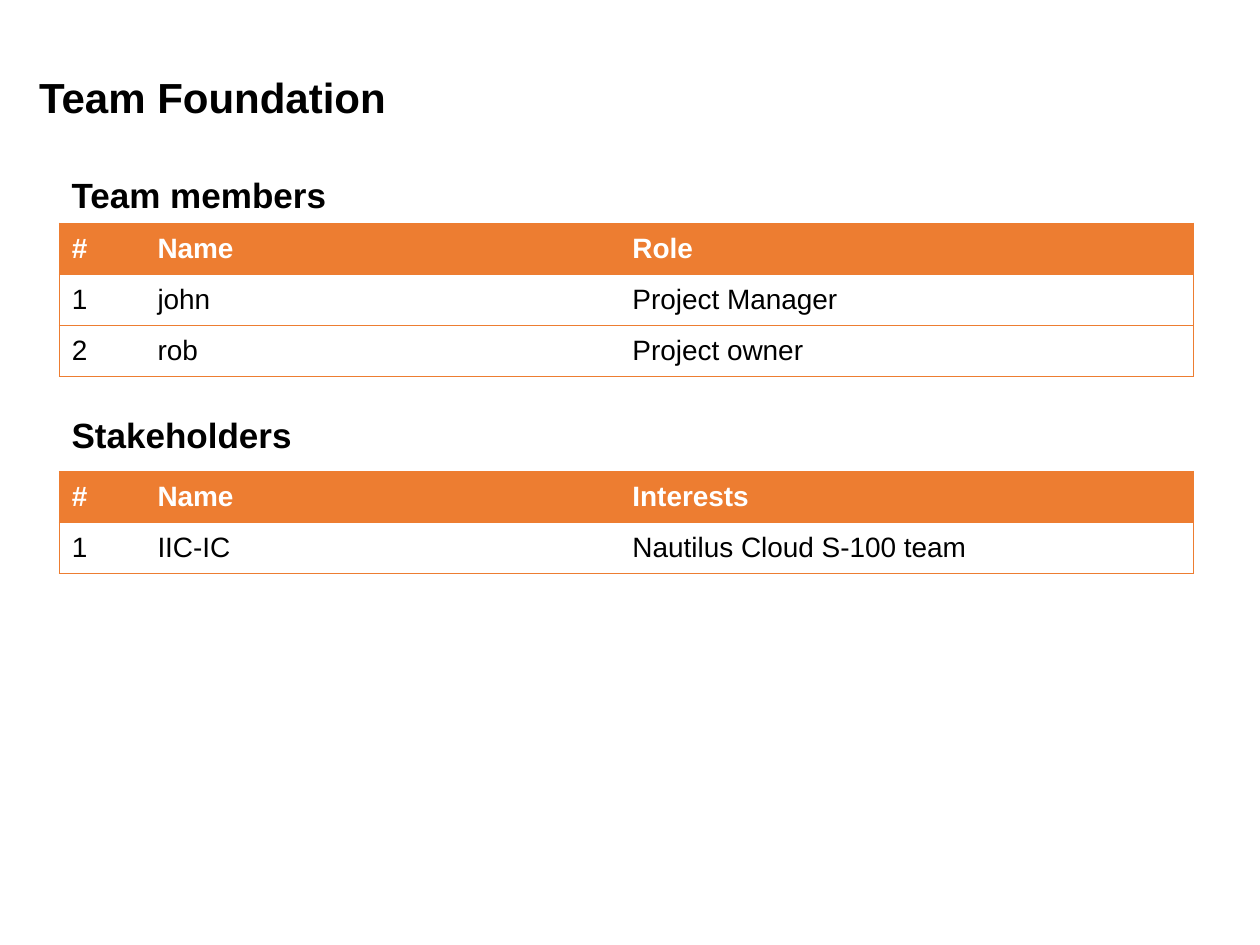
import pptx
import pptx.dml.color
import pptx.enum.text
import pptx.util
from lxml import etree
from pptx.oxml.ns import qn

Inches = pptx.util.Inches
Pt = pptx.util.Pt
ANCHOR = pptx.enum.text.MSO_ANCHOR

COLORS = {"accent": "ED7D31", "text": "000000", "light": "FFFFFF"}
FONT = "Arial"
NO_STYLE = "{2D5ABB26-0587-4C30-8999-92F81FD0307C}"
LEFT = 0.47
COL_WIDTHS = (0.68, 3.77, 4.55)
ROW_HEIGHT = 0.405
MEMBERS = [
    ("#", "Name", "Role"),
    ("1", "john", "Project Manager"),
    ("2", "rob", "Project owner"),
]
STAKEHOLDERS = [
    ("#", "Name", "Interests"),
    ("1", "IIC-IC", "Nautilus Cloud S-100 team"),
]


def rgb(name):
    """Return the named palette colour."""
    return pptx.dml.color.RGBColor.from_string(COLORS[name])


def format_text(tf, size, bold=True, color="text"):
    """Apply the slide font to every run of a text frame."""
    for p in tf.paragraphs:
        for r in p.runs:
            r.font.name = FONT
            r.font.size = Pt(size)
            r.font.bold = bold
            r.font.color.rgb = rgb(color)


def add_borders(cell, sides):
    """Draw thin accent lines on the given sides of a cell."""
    tc_pr = cell._tc.get_or_add_tcPr()
    for i, side in enumerate(sides):
        ln = etree.Element(qn(f"a:ln{side}"), w=str(Pt(0.5)))
        fill = etree.SubElement(ln, qn("a:solidFill"))
        etree.SubElement(fill, qn("a:srgbClr"), val=COLORS["accent"])
        tc_pr.insert(i, ln)


def add_title(slide, text, left, top, width, height):
    """Place the slide title in its placeholder."""
    sp = slide.shapes.title
    sp.left, sp.top = Inches(left), Inches(top)
    sp.width, sp.height = Inches(width), Inches(height)
    tf = sp.text_frame
    tf.text = text
    tf.word_wrap = True
    tf.auto_size = pptx.enum.text.MSO_AUTO_SIZE.NONE
    tf.vertical_anchor = ANCHOR.BOTTOM
    tf.paragraphs[0].alignment = pptx.enum.text.PP_ALIGN.JUSTIFY
    format_text(tf, 24)


def add_heading(slide, text, left, top, width, height):
    """Add a section heading."""
    sp = slide.shapes.add_textbox(
        Inches(left), Inches(top), Inches(width), Inches(height))
    tf = sp.text_frame
    tf.text = text
    tf.word_wrap = False
    tf.auto_size = pptx.enum.text.MSO_AUTO_SIZE.SHAPE_TO_FIT_TEXT
    format_text(tf, 20)


def add_people_table(slide, rows, left, top):
    """Add a table with an accent header row and ruled body rows."""
    table = slide.shapes.add_table(
        len(rows), len(COL_WIDTHS), Inches(left), Inches(top),
        Inches(sum(COL_WIDTHS)), Inches(ROW_HEIGHT * len(rows))).table
    table.horz_banding = False
    table._tbl.tblPr.find(qn("a:tableStyleId")).text = NO_STYLE
    for column, width in zip(table.columns, COL_WIDTHS):
        column.width = Inches(width)
    for i, row in enumerate(rows):
        table.rows[i].height = Inches(ROW_HEIGHT)
        header = i == 0
        for j, text in enumerate(row):
            cell = table.cell(i, j)
            cell.text = text
            cell.vertical_anchor = ANCHOR.MIDDLE
            format_text(cell.text_frame, 16, header,
                        "light" if header else "text")
            if header:
                cell.fill.solid()
                cell.fill.fore_color.rgb = rgb("accent")
            else:
                cell.fill.background()
            outer = {0: "L", len(row) - 1: "R"}.get(j, "")
            add_borders(cell, outer + "TB")


def main():
    """Build the team slide."""
    prs = pptx.Presentation()
    prs.slide_width, prs.slide_height = Inches(10), Inches(7.5)
    slide = prs.slides.add_slide(prs.slide_layouts[5])
    add_title(slide, "Team Foundation", 0.21, 0.58, 3.2, 0.44)
    add_heading(slide, "Team members", LEFT, 1.33, 2.24, 0.44)
    add_people_table(slide, MEMBERS, LEFT, 1.77)
    add_heading(slide, "Stakeholders", LEFT, 3.23, 1.96, 0.44)
    add_people_table(slide, STAKEHOLDERS, LEFT, 3.74)
    prs.save("out.pptx")


if __name__ == "__main__":
    main()
